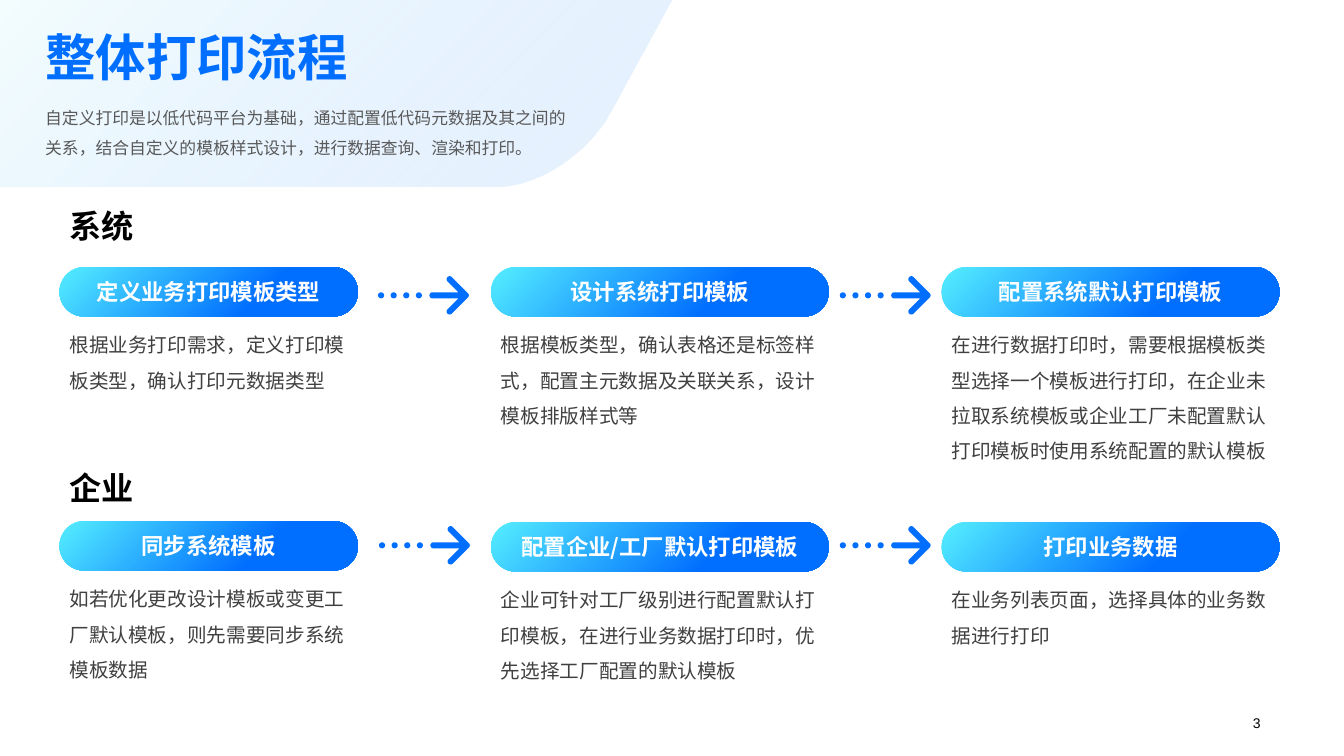
from dataclasses import dataclass
from math import cos, radians, sin

from lxml.etree import SubElement
from pptx import Presentation
from pptx.dml.color import RGBColor
from pptx.enum.shapes import MSO_SHAPE
from pptx.enum.text import MSO_ANCHOR as Anchor, PP_ALIGN as Align
from pptx.oxml.ns import qn
from pptx.util import Inches, Pt


@dataclass(frozen=True)
class Theme:
    """Colours, fonts and type sizes of the slide."""
    blue: str = "006EFF"
    cyan: str = "55EEFF"
    pale_cyan: str = "C6F9FF"
    white: str = "FFFFFF"
    black: str = "000000"
    intro_grey: str = "595959"
    body_grey: str = "404040"
    latin: str = "Arial"
    cjk: str = "Noto Sans CJK SC"
    title: int = 36
    section: int = 23
    step: int = 16
    body: int = 14
    intro: int = 12
    number: int = 10


THEME = Theme()
COLUMNS = [(0.59, 2.96), (4.87, 3.35), (9.34, 3.35)]
PILL_HEIGHT = 0.49
SECTIONS = [
    ("系统", 2.0, 2.73, (3.75, 8.33), [
        ("定义业务打印模板类型", 2.65, 0.81,
         "根据业务打印需求，定义打印模板类型，确认打印元数据类型"),
        ("设计系统打印模板", 2.65, 1.16,
         "根据模板类型，确认表格还是标签样式，配置主元数据及关联关系，设计模板排版样式等"),
        ("配置系统默认打印模板", 2.65, 1.51,
         "在进行数据打印时，需要根据模板类型选择一个模板进行打印，在企业未拉取系统模板或企业工厂未配置默认打印模板时使用系统配置的默认模板"),
    ]),
    ("企业", 4.6, 5.21, (3.76, 8.33), [
        ("同步系统模板", 5.17, 1.16,
         "如若优化更改设计模板或变更工厂默认模板，则先需要同步系统模板数据"),
        ("配置企业/工厂默认打印模板", 5.18, 1.16,
         "企业可针对工厂级别进行配置默认打印模板，在进行业务数据打印时，优先选择工厂配置的默认模板"),
        ("打印业务数据", 5.18, 0.81, "在业务列表页面，选择具体的业务数据进行打印"),
    ]),
]


def write(shape, text, size, color, font=THEME.cjk, bold=False,
          anchor=Anchor.TOP, **paragraph_format):
    """Put one formatted paragraph into a shape."""
    frame = shape.text_frame
    frame.word_wrap = True
    frame.vertical_anchor = anchor
    paragraph = frame.paragraphs[0]
    for key, value in paragraph_format.items():
        setattr(paragraph, key, value)
    run = paragraph.add_run()
    run.text = text
    for key, value in {"size": Pt(size), "bold": bold, "name": font}.items():
        setattr(run.font, key, value)
    run.font.color.rgb = RGBColor.from_string(color)
    SubElement(run.font._element, qn("a:ea")).set("typeface", font)


def add_text(slide, box, *content, **text_format):
    """Add a wrapped text box."""
    label = slide.shapes.add_textbox(*map(Inches, box))
    write(label, *content, **text_format)


def paint_gradient(shape, stops):
    """Fill a shape with a diagonal gradient of position, colour and opacity."""
    shape.fill.gradient()
    shape.fill.gradient_angle = 315
    for stop, (position, color, opacity) in zip(shape.fill.gradient_stops, stops):
        stop.position = position
        stop.color.rgb = RGBColor.from_string(color)
    for color, (_, _, opacity) in zip(shape._element.spPr.iter(qn("a:srgbClr")), stops):
        if opacity < 100:
            SubElement(color, qn("a:alpha")).set("val", str(opacity * 1000))


def add_outline(slide, contours):
    """Add one freeform made of closed contours, without line or shadow."""
    points = [[(Inches(x), Inches(y)) for x, y in contour] for contour in contours]
    builder = slide.shapes.build_freeform(*points[0][0])
    builder.add_line_segments(points[0][1:])
    for contour in points[1:]:
        builder.move_to(*contour[0])
        builder.add_line_segments(contour[1:])
    outline = builder.convert_to_shape()
    outline.shadow.inherit = False
    outline.line.fill.background()
    return outline


def arc(x, y, radius, start, end, steps=16):
    """Return points along an arc, with degrees running clockwise."""
    angles = [radians(start + (end - start) * i / steps) for i in range(steps + 1)]
    return [(x + radius * cos(a), y + radius * sin(a)) for a in angles]


def bezier(start, pull, push, end, steps=32):
    """Return points along a cubic curve."""
    ratios = [i / steps for i in range(steps + 1)]
    return [tuple((1 - t) ** 3 * a + 3 * (1 - t) ** 2 * t * b
                  + 3 * (1 - t) * t ** 2 * c + t ** 3 * d
                  for a, b, c, d in zip(start, pull, push, end)) for t in ratios]


def add_header(slide):
    """Add the pale panel with the title and introduction."""
    curve = bezier((6.05, 1.12), (5.83, 1.52), (5.33, 1.85), (4.93, 1.85))
    panel = add_outline(slide, [[(6.67, -0.01), *curve, (0, 1.85), (0, -0.01)]])
    paint_gradient(panel, [(0, THEME.pale_cyan, 20), (1, THEME.blue, 10)])
    add_text(slide, (0.35, 0.28, 4.51, 0.64), "整体打印流程", THEME.title, THEME.blue,
             font=THEME.latin, bold=True, anchor=Anchor.MIDDLE, line_spacing=0.9)
    add_text(slide, (0.35, 0.92, 5.41, 0.71),
             "自定义打印是以低代码平台为基础，通过配置低代码元数据及其之间的关系，"
             "结合自定义的模板样式设计，进行数据查询、渲染和打印。",
             THEME.intro, THEME.intro_grey, line_spacing=1.5, space_before=Pt(15))


def add_dotted_arrow(slide, left, top):
    """Add four dots that lead into a rounded arrow."""
    middle, half, arm, tip = top + 0.2, 0.03, left + 0.71, left + 0.87
    reach = tip - arm
    inner = tip - half * (2 ** 0.5 + 1)
    dots = [arc(left + 0.03 + 0.125 * i, middle, 0.03, 0, 360) for i in range(4)]
    arrow = [*arc(arm, middle - reach, half, 135, 315),
             *arc(tip, middle, half, -45, 45),
             *arc(arm, middle + reach, half, 45, 225),
             (inner, middle + half),
             *arc(left + 0.54, middle, half, 90, 270),
             (inner, middle - half)]
    symbol = add_outline(slide, [*dots, arrow])
    symbol.fill.solid()
    symbol.fill.fore_color.rgb = RGBColor.from_string(THEME.blue)


def add_step(slide, left, width, name, top, detail_height, detail):
    """Add a step pill with its explanation below."""
    pill = slide.shapes.add_shape(
        MSO_SHAPE.ROUNDED_RECTANGLE, *map(Inches, (left, top, width, PILL_HEIGHT)))
    pill.adjustments[0] = 0.5
    pill.shadow.inherit = False
    pill.line.fill.background()
    paint_gradient(pill, [(0, THEME.cyan, 100), (0.67, THEME.blue, 100)])
    write(pill, name, THEME.step, THEME.white, bold=True,
          anchor=Anchor.MIDDLE, alignment=Align.CENTER)
    add_text(slide, (left, top + PILL_HEIGHT, width, detail_height), detail,
             THEME.body, THEME.body_grey, font=THEME.latin, line_spacing=1.5)


def main():
    """Build and save the slide."""
    deck = Presentation()
    deck.slide_width, deck.slide_height = Inches(13.33), Inches(7.5)
    slide = deck.slides.add_slide(deck.slide_layouts[6])
    add_header(slide)
    for heading, heading_top, arrow_top, arrow_lefts, steps in SECTIONS:
        add_text(slide, (0.59, heading_top, 1.56, 0.49), heading,
                 THEME.section, THEME.black, bold=True)
        for (left, width), step in zip(COLUMNS, steps):
            add_step(slide, left, width, *step)
        for left in arrow_lefts:
            add_dotted_arrow(slide, left, arrow_top)
    add_text(slide, (9.69, 7.04, 2.91, 0.27), "3", THEME.number, THEME.black,
             font=THEME.latin, alignment=Align.RIGHT)
    deck.save("out.pptx")


if __name__ == "__main__":
    main()
